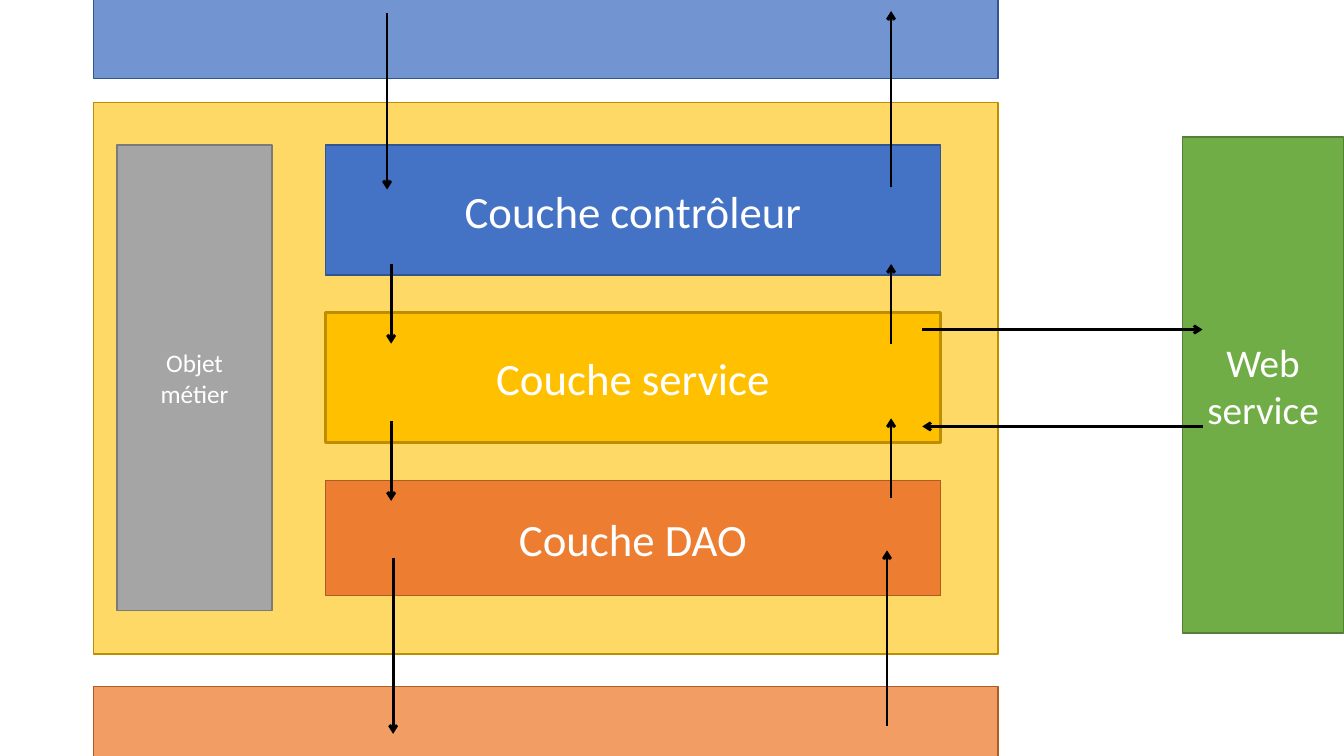
"""Build a slide of application layers exchanging calls with a web service."""
from lxml.etree import SubElement
from pptx import Presentation
from pptx.dml.color import RGBColor as RGB
from pptx.enum.shapes import MSO_CONNECTOR as LINK, MSO_SHAPE as SHAPE
from pptx.enum.text import MSO_ANCHOR as ANCHOR, PP_ALIGN as ALIGN
from pptx.oxml.ns import qn
from pptx.util import Pt

HUES = {
    "blue": "4472C4", "blue edge": "325491",
    "gold": "FFC000", "gold edge": "BD8E00",
    "orange": "ED7D31", "orange edge": "AF5C24",
    "grey": "A5A5A5", "grey edge": "7A7A7A",
    "green": "70AD47", "green edge": "538035",
    "white": "FFFFFF", "black": "000000",
}


def hue(name):
    return RGB.from_string(HUES[name])


def add_box(x, y, w, h, tint, edge=1, text="", size=32):
    box = slide.shapes.add_shape(SHAPE.RECTANGLE, Pt(x), Pt(y), Pt(w), Pt(h))
    box.shadow.inherit = False
    box.fill.solid()
    box.fill.fore_color.rgb = hue(tint)
    box.line.color.rgb = hue(tint + " edge")
    box.line.width = Pt(edge)
    frame = box.text_frame
    frame.word_wrap = True
    frame.vertical_anchor = ANCHOR.MIDDLE
    frame.text = text
    for para in frame.paragraphs:
        para.alignment = ALIGN.CENTER
        for run in para.runs:
            run.font.name = "Calibri"
            run.font.size = Pt(size)
            run.font.color.rgb = hue("white")
    return box


deck = Presentation()
deck.slide_width, deck.slide_height = Pt(960), Pt(540)
slide = deck.slides.add_slide(deck.slide_layouts[6])

bands = [
    (490.3, 147.6, "orange", 75),
    (73.4, 393.8, "gold", 60),
    (-74.2, 130.3, "blue", 75),
]
for y, h, tint, alpha in bands:
    band = add_box(67, y, 645.8, h, tint)
    color = band._element.spPr.find(qn("a:solidFill"))[0]
    SubElement(color, qn("a:alpha")).set("val", str(alpha * 1000))

add_box(83.5, 103.7, 110.9, 332.6, "grey", text="Objet\nmétier", size=18)

layers = [
    ("DAO", 343.4, 82.1, "orange", 1),
    ("service", 223.2, 92.9, "gold", 2),
    ("contrôleur", 103.7, 92.9, "blue", 1),
]
for name, y, h, tint, edge in layers:
    add_box(232.6, y, 439.2, h, tint, edge, "Couche " + name)

add_box(844.6, 97.9, 115.2, 354.2, "green", text="Web service", size=28)

arrows = [
    (280.8, 398.9, 280.8, 524.2),
    (633.6, 518.4, 633.6, 393.1),
    (279.4, 301, 279.4, 357.8),
    (636.5, 355.7, 636.5, 298.8),
    (279.4, 188.6, 279.4, 245.5),
    (636.5, 245.5, 636.5, 188.6),
    (276.5, 9.4, 276.5, 135.4),
    (636.5, 133.9, 636.5, 7.9),
    (658.8, 235.4, 859, 235.4),
    (859, 304.6, 658.8, 304.6),
]
for ends in arrows:
    arrow = slide.shapes.add_connector(LINK.STRAIGHT, *map(Pt, ends))
    arrow.line.color.rgb = hue("black")
    arrow.line.width = Pt(2)
    SubElement(arrow.line._get_or_add_ln(), qn("a:tailEnd")).set("type", "arrow")
    SubElement(arrow._element.spPr, qn("a:effectLst"))

deck.save("out.pptx")
